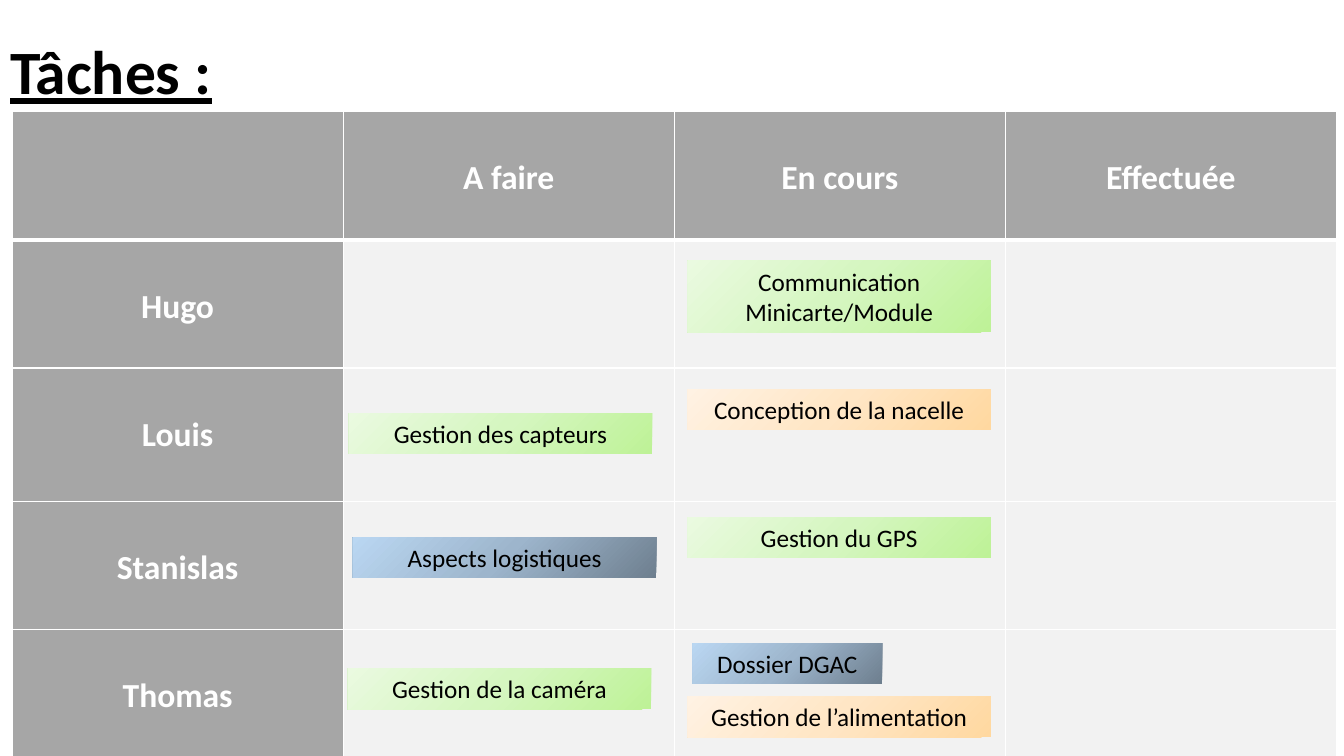
from lxml.etree import SubElement
from pptx import Presentation
from pptx.dml.color import RGBColor as RGB
from pptx.enum.shapes import MSO_SHAPE as SHAPE
from pptx.enum.text import MSO_ANCHOR as ANCHOR, MSO_AUTO_SIZE as AUTO, PP_ALIGN as ALIGN
from pptx.oxml import parse_xml
from pptx.oxml.ns import nsdecls, qn
from pptx.util import Pt

# Content
TITLE = "Tâches :"
STATES = ["", "A faire", "En cours", "Effectuée"]
PEOPLE = ["Hugo", "Louis", "Stanislas", "Thomas"]
# text, person, state, offset in the cell (x, y), kind
TASKS = [
    ("Gestion de la caméra", "Thomas", "A faire", (3.3, 27.5), "code"),
    ("Communication Minicarte/Module", "Hugo", "En cours", (9.4, 15), "code"),
    ("Gestion des capteurs", "Louis", "A faire", (4, 32.3), "code"),
    ("Gestion du GPS", "Stanislas", "En cours", (9.4, 11), "code"),
    ("Dossier DGAC", "Thomas", "En cours", (13, 9.5), "admin"),
    ("Aspects logistiques", "Stanislas", "A faire", (7, 25.4), "admin"),
    ("Conception de la nacelle", "Louis", "En cours", (9.4, 15), "build"),
    ("Gestion de l’alimentation", "Thomas", "En cours", (9.4, 47.6), "build"),
]
CARD_W, CARD_H = 216.7, 29.08
CARD_SIZES = {
    "Communication Minicarte/Module": (CARD_W, 50.9),
    "Dossier DGAC": (135.5, CARD_H),
}

THEME = {
    "font": "Calibri", "title": 44, "head": 24, "card": 18,
    "text": "000000", "head_text": "FFFFFF", "border": "FFFFFF",
    "head_fill": "A6A6A6", "cell_fill": "F2F2F2",
    "code": ("BEF297", "D5F6C0", "EAFAE0"),
    "admin": ("6E7F8F", "9DB5CC", "BAD7F2"),
    "build": ("FFD8A0", "FFE6C5", "FFF2E3"),
}

# Board geometry
LEFT, TOP, COL_W = 8.64, 79.9, 236.5
ROW_H = [91.5, 91.5, 95.5, 91.5, 91.5]


def add_run(p, text, size, color, bold=False):
    r = p.add_run()
    r.text = text
    r.font.name, r.font.size, r.font.bold = THEME["font"], Pt(size), bold
    r.font.color.rgb = RGB.from_string(color)
    return r


def set_borders(cell, widths):
    tc_pr = cell._tc.get_or_add_tcPr()
    for i, (side, width) in enumerate(widths.items()):
        ln = parse_xml(f'<a:ln{side} {nsdecls("a")} w="{Pt(width)}"><a:solidFill>'
                       f'<a:srgbClr val="{THEME["border"]}"/></a:solidFill></a:ln{side}>')
        tc_pr.insert(i, ln)


def set_gradient(sp, colors):
    sp.fill.gradient()
    grad = sp._element.spPr.find(qn("a:gradFill"))
    stops = grad.find(qn("a:gsLst"))
    for stop in list(stops):
        stops.remove(stop)
    for i, color in enumerate(colors):
        stop = SubElement(stops, qn("a:gs"), pos=str(i * 50000))
        SubElement(stop, qn("a:srgbClr"), val=color)
    grad.find(qn("a:lin")).set("ang", str(225 * 60000))


def add_title(s):
    sp = s.shapes.title
    sp.left, sp.top, sp.width, sp.height = Pt(0), Pt(1.4), Pt(828), Pt(104.4)
    tf = sp.text_frame
    tf.vertical_anchor = ANCHOR.MIDDLE
    p = tf.paragraphs[0]
    p.alignment, p.line_spacing = ALIGN.LEFT, 0.9
    add_run(p, TITLE, THEME["title"], THEME["text"], True).font.underline = True


def add_board(s):
    rows, cols = len(PEOPLE) + 1, len(STATES)
    table = s.shapes.add_table(rows, cols, Pt(LEFT), Pt(TOP),
                               Pt(COL_W * cols), Pt(sum(ROW_H))).table
    table.horz_banding = False
    for col in table.columns:
        col.width = Pt(COL_W)
    for row, height in zip(table.rows, ROW_H):
        row.height = Pt(height)
    for i, name in enumerate([""] + PEOPLE):
        texts = STATES if i == 0 else [name] + [""] * (cols - 1)
        for j, text in enumerate(texts):
            cell = table.cell(i, j)
            fill = "head_fill" if i == 0 or j == 0 else "cell_fill"
            cell.fill.solid()
            cell.fill.fore_color.rgb = RGB.from_string(THEME[fill])
            set_borders(cell, {"L": 1, "R": 1, "T": 3 if i == 1 else 1,
                               "B": 3 if i == 0 else 1})
            if text:
                cell.margin_top = Pt(33)
                p = cell.text_frame.paragraphs[0]
                p.alignment = ALIGN.CENTER
                add_run(p, text, THEME["head"], THEME["head_text"], True)


def add_card(s, text, person, state, offset, kind):
    row = PEOPLE.index(person) + 1
    x = LEFT + STATES.index(state) * COL_W + offset[0]
    y = TOP + sum(ROW_H[:row]) + offset[1]
    w, h = CARD_SIZES.get(text, (CARD_W, CARD_H))
    sp = s.shapes.add_shape(SHAPE.RECTANGLE, Pt(x), Pt(y), Pt(w), Pt(h))
    sp.shadow.inherit = False
    sp.line.fill.background()
    set_gradient(sp, THEME[kind])
    tf = sp.text_frame
    tf.word_wrap, tf.auto_size = True, AUTO.SHAPE_TO_FIT_TEXT
    tf.vertical_anchor = ANCHOR.TOP
    p = tf.paragraphs[0]
    p.alignment = ALIGN.CENTER
    add_run(p, text, THEME["card"], THEME["text"])


def main():
    prs = Presentation()
    prs.slide_width, prs.slide_height = Pt(960), Pt(540)
    s = prs.slides.add_slide(prs.slide_layouts[5])
    add_title(s)
    add_board(s)
    # Task cards over the board
    for task in TASKS:
        add_card(s, *task)
    prs.save("out.pptx")


if __name__ == "__main__":
    main()
